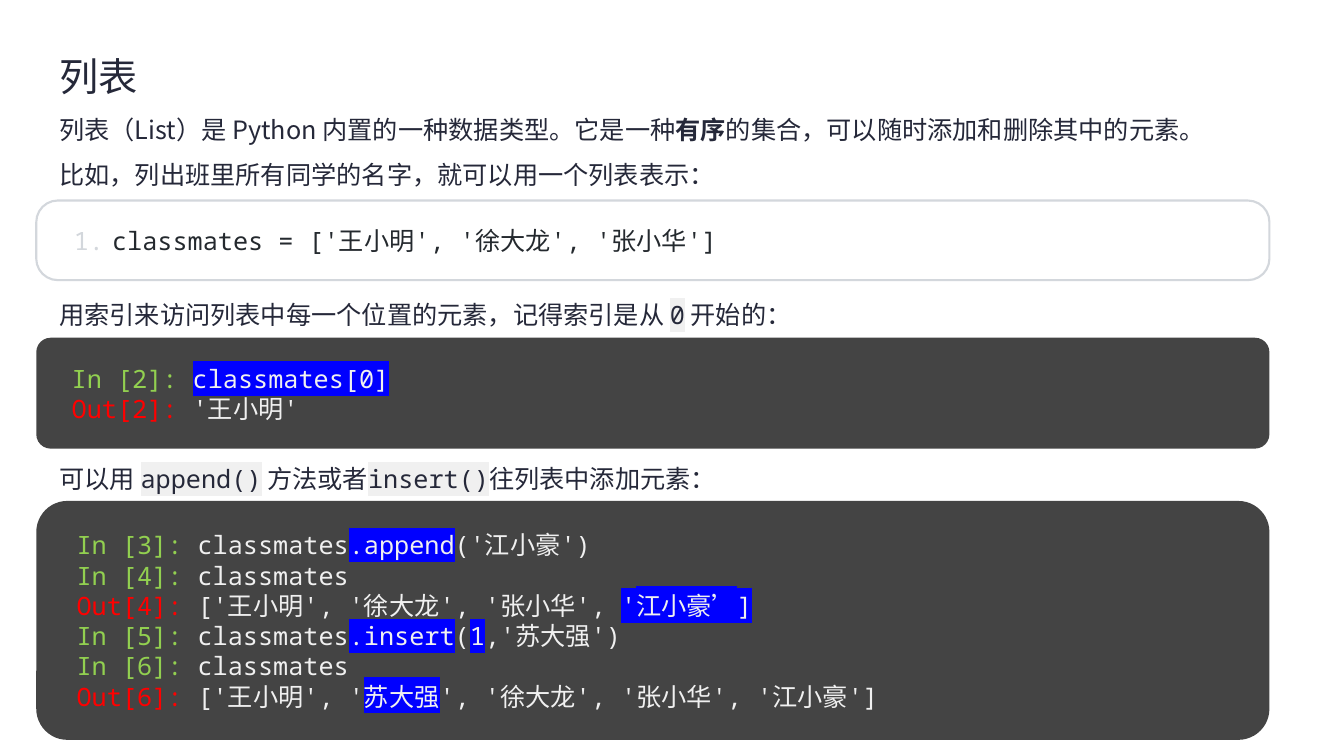
from lxml import etree
from pptx import Presentation
from pptx import util as u
from pptx.dml.color import RGBColor
from pptx.enum import shapes, text
from pptx.oxml.ns import qn

WIDTH, HEIGHT = u.Inches(13.33), u.Inches(7.5)
# Left edge and width, as percentages of the slide's width
PROSE_COLUMN = (3.68, 89.87)
PANEL_COLUMN = (2.7, 91.75)
SANS, MONO = "Noto Sans CJK SC", "Noto Sans Mono"
COLORS = {
    "ink": "252839", "code": "24292E", "light": "F0F0F0", "panel": "444444",
    "white": "FFFFFF", "border": "D3D7DC", "in": "92D050", "out": "FF0000",
    "mark": "0000FF",
}
# Style name: (font, size, bold, text colour, highlight colour)
STYLES = {
    "title": (SANS, 28, False, "ink", None),
    "body": (SANS, 18, False, "ink", None),
    "strong": (SANS, 18, True, "ink", None),
    "inline": (MONO, 18, False, "ink", "light"),
    "source": (MONO, 18, False, "code", None),
    "in": (MONO, 18, False, "in", None),
    "out": (MONO, 18, False, "out", None),
    "shell": (MONO, 18, False, "light", None),
    "mark": (MONO, 18, False, "light", "mark"),
}

INTRO = [
    [("列表", "title")],
    [("列表（List）是 Python 内置的一种数据类型。它是一种", "body"), ("有序", "strong"),
     ("的集合，可以随时添加和删除其中的元素。", "body")],
    [("比如，列出班里所有同学的名字，就可以用一个列表表示：", "body")],
]
DEFINITION = [[("classmates = ['王小明', '徐大龙', '张小华']", "source")]]
INDEX_NOTE = [[("用索引来访问列表中每一个位置的元素，记得索引是从 ", "body"),
               ("0", "inline"), (" 开始的：", "body")]]
INDEX_SESSION = [
    [("In [2]: ", "in"), ("classmates[0]", "mark")],
    [("Out[2]: ", "out"), ("'王小明'", "shell")],
]
ADD_NOTE = [[("可以用 ", "body"), ("append()", "inline"), (" 方法或者", "body"),
             ("insert()", "inline"), ("往列表中添加元素：", "body")]]
ADD_SESSION = [
    [("In [3]: ", "in"), ("classmates", "shell"), (".append", "mark"),
     ("('江小豪')", "shell")],
    [("In [4]: ", "in"), ("classmates", "shell")],
    [("Out[4]: ", "out"), ("['王小明', '徐大龙', '张小华', ", "shell"),
     ("'江小豪’]", "mark")],
    [("In [5]: ", "in"), ("classmates", "shell"), (".insert", "mark"),
     ("(", "shell"), ("1", "mark"), (",'苏大强')", "shell")],
    [("In [6]: ", "in"), ("classmates", "shell")],
    [("Out[6]: ", "out"), ("['王小明', '", "shell"), ("苏大强", "mark"),
     ("', '徐大龙', '张小华', '江小豪']", "shell")],
]


def rgb(name):
    return RGBColor.from_string(COLORS[name])


def place(column, top, height):
    """Turn percentages of the slide into left, top, width and height."""
    left, width = column
    return [int(size * share / 100) for size, share in
            ((WIDTH, left), (HEIGHT, top), (WIDTH, width), (HEIGHT, height))]


def add_run(p, wording, style):
    font_name, size, bold, color, highlight = STYLES[style]
    r = p.add_run()
    r.text = wording
    r.font.size, r.font.bold = u.Pt(size), bold
    r.font.color.rgb = rgb(color)
    rpr = r.font._element
    if highlight:
        mark = etree.SubElement(rpr, qn("a:highlight"))
        etree.SubElement(mark, qn("a:srgbClr"), val=COLORS[highlight])
    r.font.name = font_name
    etree.SubElement(rpr, qn("a:ea"), typeface=SANS)


def write(tf, lines):
    tf.word_wrap = True
    for i, line in enumerate(lines):
        p = tf.paragraphs[0] if i == 0 else tf.add_paragraph()
        p.alignment = text.PP_ALIGN.LEFT
        for wording, style in line:
            add_run(p, wording, style)


def add_prose(slide, top, height, lines):
    tf = slide.shapes.add_textbox(*place(PROSE_COLUMN, top, height)).text_frame
    write(tf, lines)
    tf.auto_size = text.MSO_AUTO_SIZE.SHAPE_TO_FIT_TEXT
    for p in tf.paragraphs:
        p.line_spacing, p.space_after = 1.2, u.Pt(6)


def add_panel(slide, top, height, lines, fill="panel", border=None, corner=0.13):
    sp = slide.shapes.add_shape(shapes.MSO_SHAPE.ROUNDED_RECTANGLE,
                                *place(PANEL_COLUMN, top, height))
    sp.adjustments[0] = corner
    sp.shadow.inherit = False
    sp.fill.solid()
    sp.fill.fore_color.rgb = rgb(fill)
    if border:
        sp.line.color.rgb = rgb(border)
        sp.line.width = u.Pt(1.5)
    else:
        sp.line.fill.background()
    tf = sp.text_frame
    tf.margin_left, tf.margin_right = u.Inches(0.31), u.Inches(0.24)
    tf.margin_top = tf.margin_bottom = u.Inches(0.16)
    tf.vertical_anchor = text.MSO_ANCHOR.MIDDLE
    write(tf, lines)
    return tf


def number_lines(tf, color):
    indent = u.Inches(0.38)
    for p in tf.paragraphs:
        p.alignment = text.PP_ALIGN.JUSTIFY
        ppr = p._p.get_or_add_pPr()
        ppr.set("marL", str(indent))
        ppr.set("indent", str(-indent))
        bullet_color = etree.SubElement(ppr, qn("a:buClr"))
        etree.SubElement(bullet_color, qn("a:srgbClr"), val=COLORS[color])
        etree.SubElement(ppr, qn("a:buFont"), typeface=MONO)
        etree.SubElement(ppr, qn("a:buAutoNum"), type="arabicPeriod")


def main():
    prs = Presentation()
    prs.slide_width, prs.slide_height = WIDTH, HEIGHT
    slide = prs.slides.add_slide(prs.slide_layouts[6])
    add_prose(slide, 5.07, 20.53, INTRO)
    definition = add_panel(slide, 26.53, 10.53, DEFINITION,
                           fill="white", border="border", corner=0.27)
    number_lines(definition, "border")
    add_prose(slide, 38.13, 6, INDEX_NOTE)
    add_panel(slide, 44.67, 14.67, INDEX_SESSION)
    add_prose(slide, 59.87, 6, ADD_NOTE)
    add_panel(slide, 66.27, 31.6, ADD_SESSION)
    prs.save("out.pptx")


if __name__ == "__main__":
    main()
